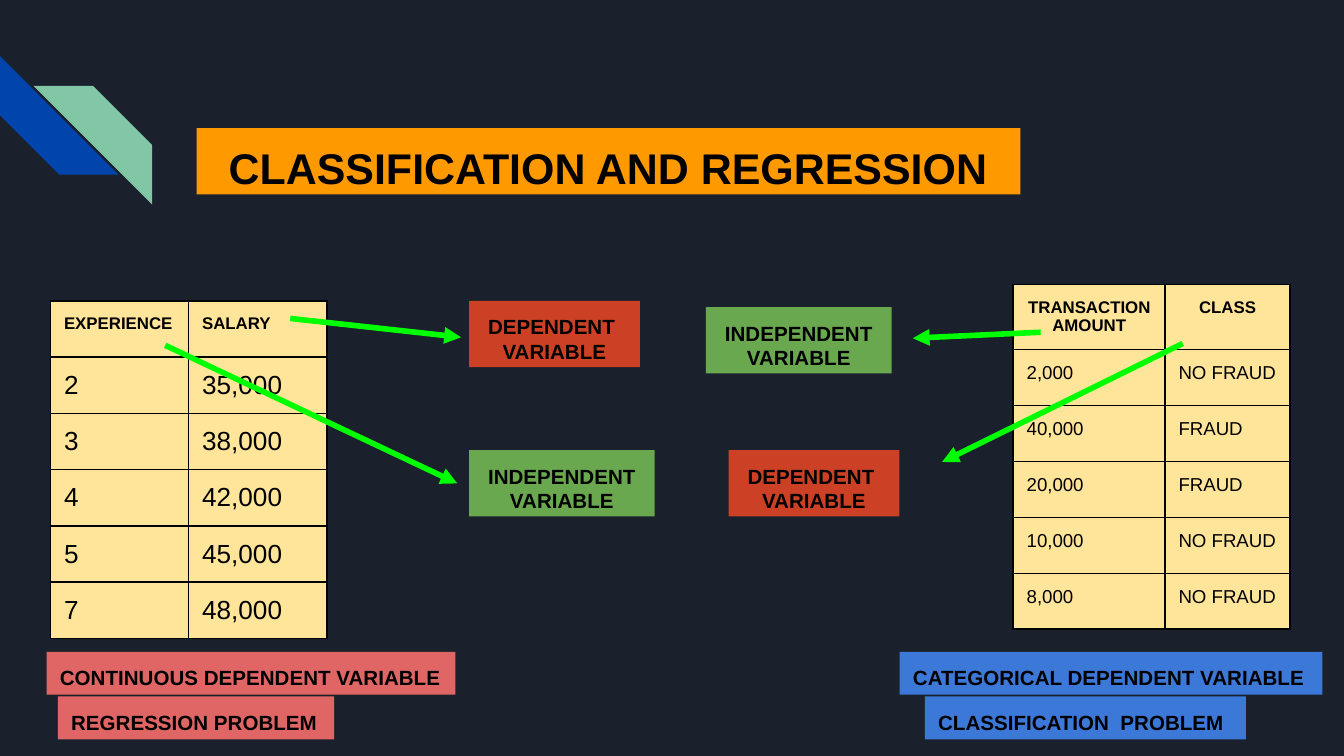
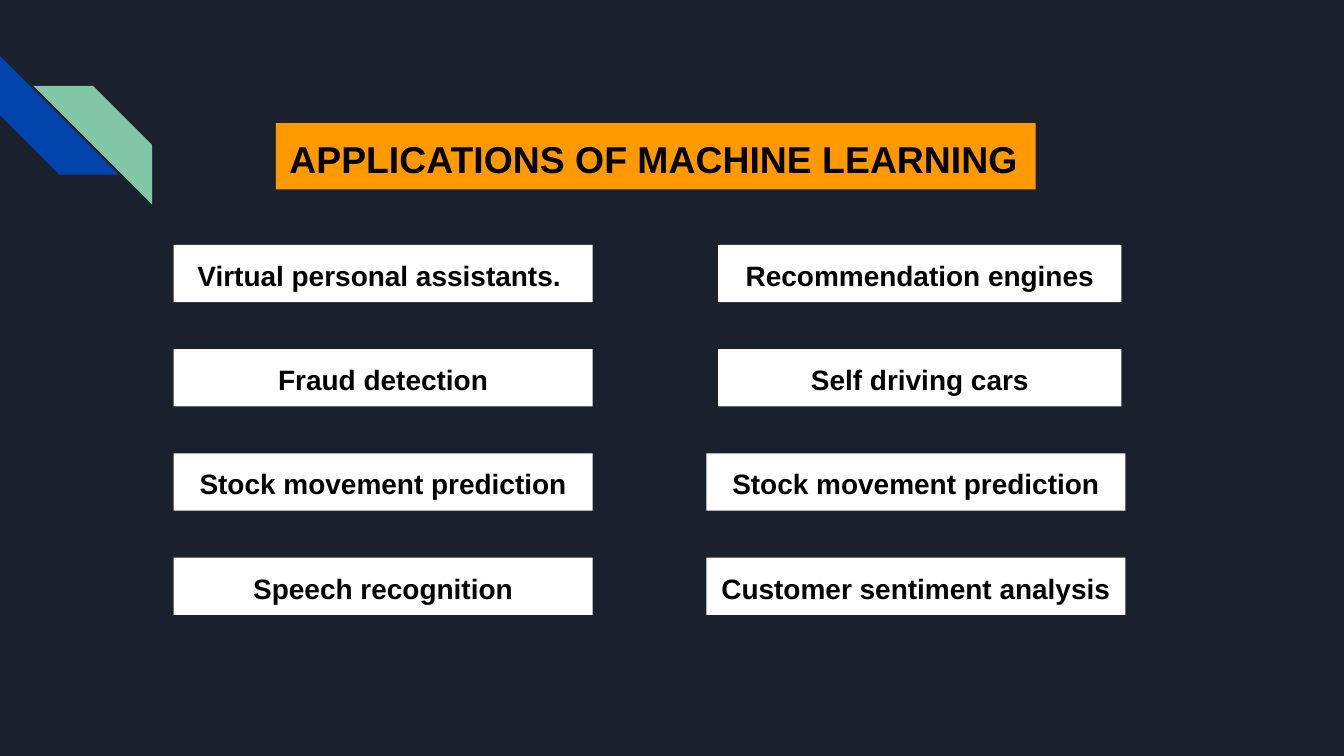
from dataclasses import dataclass

import pptx
import pptx.dml.color
import pptx.enum.shapes
import pptx.enum.text
import pptx.oxml
import pptx.oxml.ns
import pptx.presentation
import pptx.shapes.base
import pptx.slide
import pptx.text.text
import pptx.util

Pt = pptx.util.Pt
Align = pptx.enum.text.PP_ALIGN
Kind = pptx.enum.shapes.MSO_SHAPE
MID, LEFT = Align.CENTER, Align.LEFT

HUES = {
    "night": "1B212C",
    "blue": "0145AC",
    "mint": "82C7A5",
    "orange": "FF9900",
    "cream": "FFE599",
    "green": "6AA84F",
    "red": "CC4125",
    "rose": "E06666",
    "azure": "3C78D8",
    "lime": "00FF00",
    "white": "FFFFFF",
    "black": "000000",
}
FONT = "Arial"
PAD = Pt(7.2)


@dataclass(frozen=True)
class Box:
    lines: tuple[str, ...]
    x: float
    y: float
    w: float
    h: float
    hue: str
    size: float
    align: Align = MID


@dataclass(frozen=True)
class Grid:
    rows: tuple[tuple[str, str], ...]
    x: float
    y: float
    widths: tuple[float, float]
    head: float
    size: float
    align: Align


@dataclass(frozen=True)
class Arrow:
    x: float
    y: float
    to_x: float
    to_y: float


@dataclass(frozen=True)
class Stripe:
    x: float
    y: float
    hue: str
    turn: float
    flip: bool


STRIPES = (
    Stripe(0, 30, "blue", 270, False),
    Stripe(18, 46, "mint", 0, True),
)


def tint(name: str) -> pptx.dml.color.RGBColor:
    return pptx.dml.color.RGBColor.from_string(HUES[name])


def paint(item, hue: str) -> None:
    item.fill.solid()
    item.fill.fore_color.rgb = tint(hue)


def write(frame: pptx.text.text.TextFrame, lines: tuple[str, ...], size: float,
          align: Align, bold: bool = True) -> None:
    for i, line in enumerate(lines):
        para = frame.add_paragraph() if i else frame.paragraphs[0]
        para.alignment = align
        run = para.add_run()
        run.text = line
        run.font.name = FONT
        run.font.size = Pt(size)
        run.font.bold = bold
        run.font.color.rgb = tint("black")


def dress(shape: pptx.shapes.base.BaseShape, box: Box) -> None:
    shape.left, shape.top = Pt(box.x), Pt(box.y)
    shape.width, shape.height = Pt(box.w), Pt(box.h)
    paint(shape, box.hue)
    frame = shape.text_frame
    frame.word_wrap = True
    frame.auto_size = pptx.enum.text.MSO_AUTO_SIZE.NONE
    frame.vertical_anchor = pptx.enum.text.MSO_ANCHOR.TOP
    frame.margin_left = frame.margin_right = PAD
    frame.margin_top = frame.margin_bottom = PAD
    write(frame, box.lines, box.size, box.align)


def add_box(slide: pptx.slide.Slide, box: Box) -> None:
    shape = slide.shapes.add_shape(
        Kind.RECTANGLE, Pt(box.x), Pt(box.y), Pt(box.w), Pt(box.h))
    shape.shadow.inherit = False
    shape.line.fill.background()
    dress(shape, box)


def edge(cell) -> None:
    props = cell._tc.get_or_add_tcPr()
    for i, side in enumerate(("lnL", "lnR", "lnT", "lnB")):
        props.insert(i, pptx.oxml.parse_xml(
            f'<a:{side} {pptx.oxml.ns.nsdecls("a")} w="{Pt(1)}"><a:solidFill>'
            f'<a:srgbClr val="{HUES["black"]}"/></a:solidFill></a:{side}>'))


def add_grid(slide: pptx.slide.Slide, grid: Grid) -> None:
    count = len(grid.rows)
    table = slide.shapes.add_table(
        count, len(grid.widths), Pt(grid.x), Pt(grid.y),
        Pt(sum(grid.widths)), Pt(grid.head + 30 * (count - 1))).table
    table.first_row = table.horz_banding = False
    for col, width in zip(table.columns, grid.widths):
        col.width = Pt(width)
    for r, texts in enumerate(grid.rows):
        table.rows[r].height = Pt(30 if r else grid.head)
        for c, text in enumerate(texts):
            cell = table.cell(r, c)
            paint(cell, "cream")
            edge(cell)
            cell.margin_left = cell.margin_right = PAD
            cell.margin_top = cell.margin_bottom = PAD
            write(cell.text_frame, (text,), grid.size if r else 9,
                  LEFT if r else grid.align, not r)


def add_arrow(slide: pptx.slide.Slide, arrow: Arrow) -> None:
    link = slide.shapes.add_connector(
        pptx.enum.shapes.MSO_CONNECTOR.STRAIGHT, Pt(arrow.x), Pt(arrow.y),
        Pt(arrow.to_x), Pt(arrow.to_y))
    link.line.color.rgb = tint("lime")
    link.line.width = Pt(3)
    props = link.element.spPr
    space = pptx.oxml.ns.nsdecls("a")
    props.find(pptx.oxml.ns.qn("a:ln")).append(
        pptx.oxml.parse_xml(f'<a:tailEnd {space} type="triangle"/>'))
    props.append(pptx.oxml.parse_xml(f"<a:effectLst {space}/>"))


def add_stripe(slide: pptx.slide.Slide, stripe: Stripe) -> None:
    shape = slide.shapes.add_shape(
        Kind.DIAGONAL_STRIPE, Pt(stripe.x), Pt(stripe.y), Pt(63.6), Pt(63.6))
    shape.adjustments[0] = 0.5
    shape.rotation = stripe.turn
    shape.shadow.inherit = False
    shape.line.fill.background()
    paint(shape, stripe.hue)
    if stripe.flip:
        shape.element.spPr.find(pptx.oxml.ns.qn("a:xfrm")).set("flipH", "1")


def start(deck: pptx.presentation.Presentation, title: Box) -> pptx.slide.Slide:
    slide = deck.slides.add_slide(deck.slide_layouts[5])
    for stripe in STRIPES:
        add_stripe(slide, stripe)
    dress(slide.shapes.title, title)
    return slide


def need(x: float, y: float) -> Box:
    return Box(("DEPENDENT ", "VARIABLE"), x, y, 91.5, 35.5, "red", 11)


def free(x: float, y: float) -> Box:
    return Box(("INDEPENDENT VARIABLE",), x, y, 99.5, 35.5, "green", 11)


def label(text: str, x: float, y: float, w: float, hue: str) -> Box:
    return Box((text,), x, y, w, 23, hue, 11, LEFT)


def types(deck: pptx.presentation.Presentation) -> None:
    slide = start(deck, Box(("CLASSIFICATION AND REGRESSION",),
                            105.4, 68.6, 441.2, 35.6, "orange", 23))
    grids = (
        Grid((("EXPERIENCE", "SALARY"), ("2", "35,000"), ("3", "38,000"),
              ("4", "42,000"), ("5", "45,000"), ("7", "48,000")),
             27.1, 161.3, (74, 74), 30, 14, LEFT),
        Grid((("TRANSACTION AMOUNT", "CLASS"), ("2,000", "NO FRAUD"),
              ("40,000", "FRAUD"), ("20,000", "FRAUD"),
              ("10,000", "NO FRAUD"), ("8,000", "NO FRAUD")),
             542.8, 152.4, (81.4, 66.8), 34.8, 10, MID),
    )
    arrows = (
        Arrow(88.5, 185, 245, 259),
        Arrow(155.5, 170.6, 247, 180.7),
        Arrow(633.6, 184, 504.7, 247.5),
        Arrow(557.5, 178, 489, 181.2),
    )
    boxes = (
        free(251.3, 241.2),
        need(251.3, 161.2),
        free(378.2, 164.6),
        need(390.3, 241.2),
        label("CONTINUOUS DEPENDENT VARIABLE", 25, 349.2, 219, "rose"),
        label("REGRESSION PROBLEM", 31, 373.1, 148, "rose"),
        label("CATEGORICAL DEPENDENT VARIABLE", 482, 349.2, 226.5, "azure"),
        label("CLASSIFICATION  PROBLEM", 495.5, 373.1, 172, "azure"),
    )
    for grid in grids:
        add_grid(slide, grid)
    for arrow in arrows:
        add_arrow(slide, arrow)
    for box in boxes:
        add_box(slide, box)


def uses(deck: pptx.presentation.Presentation) -> None:
    slide = start(deck, Box(("APPLICATIONS OF MACHINE LEARNING",),
                            147.8, 66, 407, 35.5, "orange", 20, LEFT))
    pairs = (
        ("Virtual personal assistants. ", "Recommendation engines"),
        ("Fraud detection", "Self driving cars"),
        ("Stock movement prediction", "Stock movement prediction"),
        ("Speech recognition", "Customer sentiment analysis"),
    )
    for i, (left, right) in enumerate(pairs):
        y = 131.2 + 55.85 * i
        x, w = (384.8, 216) if i < 2 else (378.4, 224.5)
        add_box(slide, Box((left,), 93, y, 224.5, 30.7, "white", 15))
        add_box(slide, Box((right,), x, y, w, 30.7, "white", 15))


def main() -> None:
    deck = pptx.Presentation()
    deck.slide_width, deck.slide_height = Pt(720), Pt(405)
    paint(deck.slide_master.background, "night")
    types(deck)
    uses(deck)
    deck.save("out.pptx")


if __name__ == "__main__":
    main()
